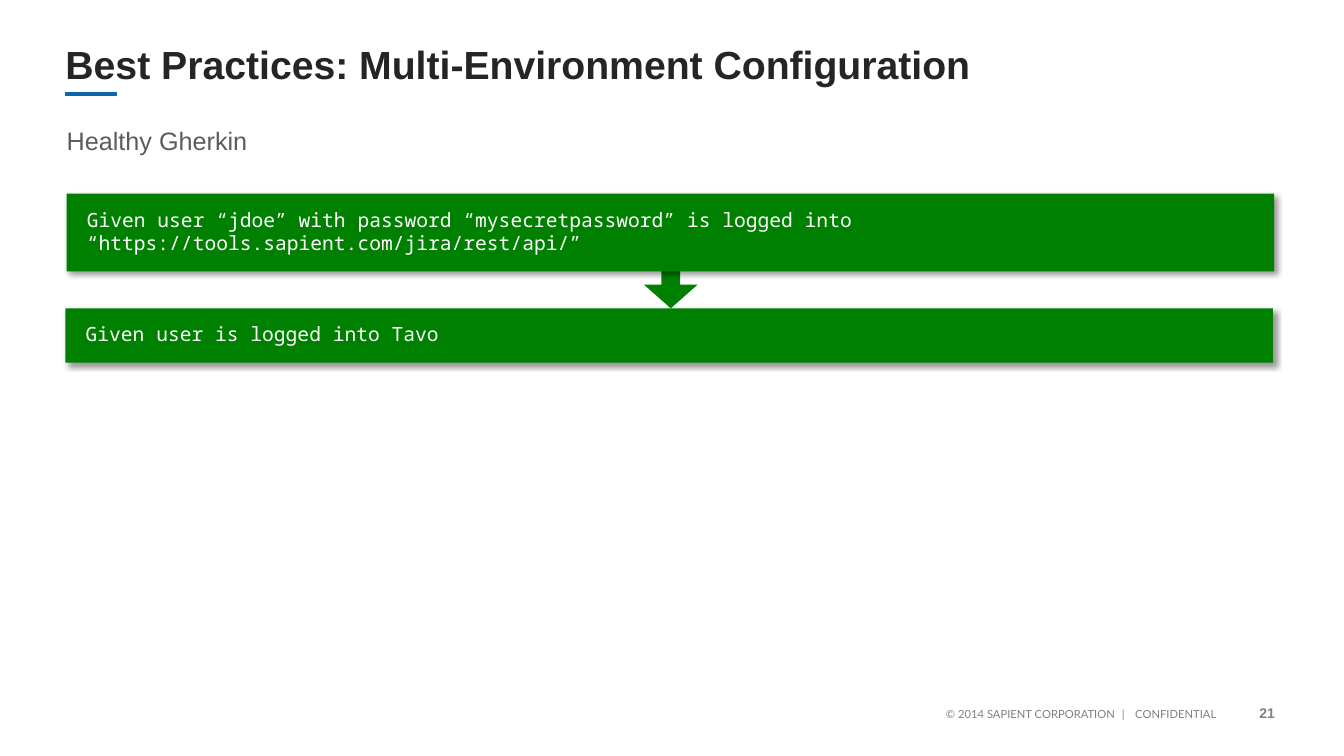
from lxml.etree import SubElement
from pptx import Presentation
from pptx.dml.color import RGBColor
from pptx.enum.shapes import MSO_CONNECTOR, MSO_SHAPE
from pptx.enum.text import MSO_ANCHOR, MSO_AUTO_SIZE, PP_ALIGN
from pptx.oxml import parse_xml
from pptx.oxml.ns import nsdecls, qn
from pptx.util import Cm, Pt

COLORS = {
    "title": "252525", "body": "5C5C5C", "accent": "0D65AE",
    "green": "008000", "code": "FFFFFF", "footer": "808080", "number": "7F7F7F",
}


def set_frame(box, margins, anchor):
    frame = box.text_frame
    frame.word_wrap = True
    frame.auto_size = MSO_AUTO_SIZE.NONE
    frame.vertical_anchor = anchor
    (frame.margin_left, frame.margin_top,
     frame.margin_right, frame.margin_bottom) = [Cm(margin) for margin in margins]
    return frame.paragraphs[0]


def add_span(para, text, size, font, color, bold=False):
    span = para.add_run()
    span.text = text
    span.font.size = Pt(size)
    span.font.name = font
    span.font.bold = bold
    span.font.color.rgb = RGBColor.from_string(COLORS[color])
    return span


deck = Presentation()
deck.slide_width, deck.slide_height = Cm(33.87), Cm(19.05)
page = deck.slides.add_slide(deck.slide_layouts[1])

# Title
title = page.shapes.title
title.left, title.top, title.width, title.height = Cm(1.65), Cm(0.76), Cm(30.48), Cm(1.57)
para = set_frame(title, (0, 0.13, 0, 0.13), MSO_ANCHOR.BOTTOM)
para.alignment = PP_ALIGN.LEFT
add_span(para, "Best Practices: Multi-Environment Configuration", 28, "Arial", "title", True)

# Accent line under the title
accent = page.shapes.add_connector(MSO_CONNECTOR.STRAIGHT, Cm(1.65), Cm(2.36), Cm(2.95), Cm(2.36))
accent.line.color.rgb = RGBColor.from_string(COLORS["accent"])
accent.line.width = Pt(2.75)
SubElement(accent._element.spPr, qn("a:effectLst"))

# Subheading
body = page.placeholders[1]
body.left, body.top, body.width, body.height = Cm(1.68), Cm(3.15), Cm(15.24), Cm(13.92)
para = set_frame(body, (0, 0, 0, 0), MSO_ANCHOR.TOP)
properties = para._p.get_or_add_pPr()
properties.set("marL", "0")
properties.set("indent", "0")
SubElement(properties, qn("a:buNone"))
para.space_before, para.space_after = Pt(0), Pt(8)
add_span(para, "Healthy Gherkin", 18, "Arial", "body")

# Arrow between the two steps
arrow = page.shapes.add_shape(MSO_SHAPE.DOWN_ARROW, Cm(16.23), Cm(6.58), Cm(1.35), Cm(1.19))
arrow.adjustments[0], arrow.adjustments[1] = 0.35, 0.5
arrow.shadow.inherit = False
arrow.fill.solid()
arrow.fill.fore_color.rgb = RGBColor.from_string(COLORS["green"])
arrow.line.fill.background()

# Gherkin steps
steps = [
    (1.68, 4.88, 1.96, "Given user “jdoe” with password “mysecretpassword” is logged into "
                       "“https://tools.sapient.com/jira/rest/api/”"),
    (1.65, 7.77, 1.37, "Given user is logged into Tavo"),
]
for left, top, height, text in steps:
    box = page.shapes.add_shape(MSO_SHAPE.RECTANGLE, Cm(left), Cm(top), Cm(30.43), Cm(height))
    box.fill.solid()
    box.fill.fore_color.rgb = RGBColor.from_string(COLORS["green"])
    box.line.fill.background()
    box._element.spPr.append(parse_xml(
        f'<a:effectLst {nsdecls("a")}><a:outerShdw blurRad="{Pt(4)}" dist="{Pt(3)}" '
        'dir="2700000" algn="tl" rotWithShape="0"><a:srgbClr val="000000">'
        '<a:alpha val="40000"/></a:srgbClr></a:outerShdw></a:effectLst>'))
    para = set_frame(box, (0.51, 0.35, 0.25, 0.38), MSO_ANCHOR.TOP)
    para.alignment = PP_ALIGN.LEFT
    add_span(para, text, 14, "Noto Sans Mono", "code")

# Footer, with wider letter spacing around the divider
footer = page.shapes.add_textbox(Cm(20.93), Cm(17.7), Cm(9.98), Cm(0.61))
para = set_frame(footer, (0.25, 0.13, 0.25, 0.13), MSO_ANCHOR.TOP)
para.alignment = PP_ALIGN.RIGHT
add_span(para, "© 2014 SAPIENT CORPORATION", 8, "Lato", "footer")
divider = add_span(para, " | ", 8, "Lato", "footer")
divider.font._element.set("spc", "270")
add_span(para, "CONFIDENTIAL", 8, "Lato", "footer")

# Page number
number = page.shapes.add_textbox(Cm(30.99), Cm(17.53), Cm(1.14), Cm(0.89))
para = set_frame(number, (0, 0, 0, 0), MSO_ANCHOR.MIDDLE)
para.alignment = PP_ALIGN.RIGHT
add_span(para, "21", 10, "Arial", "number", True)

deck.save("out.pptx")
